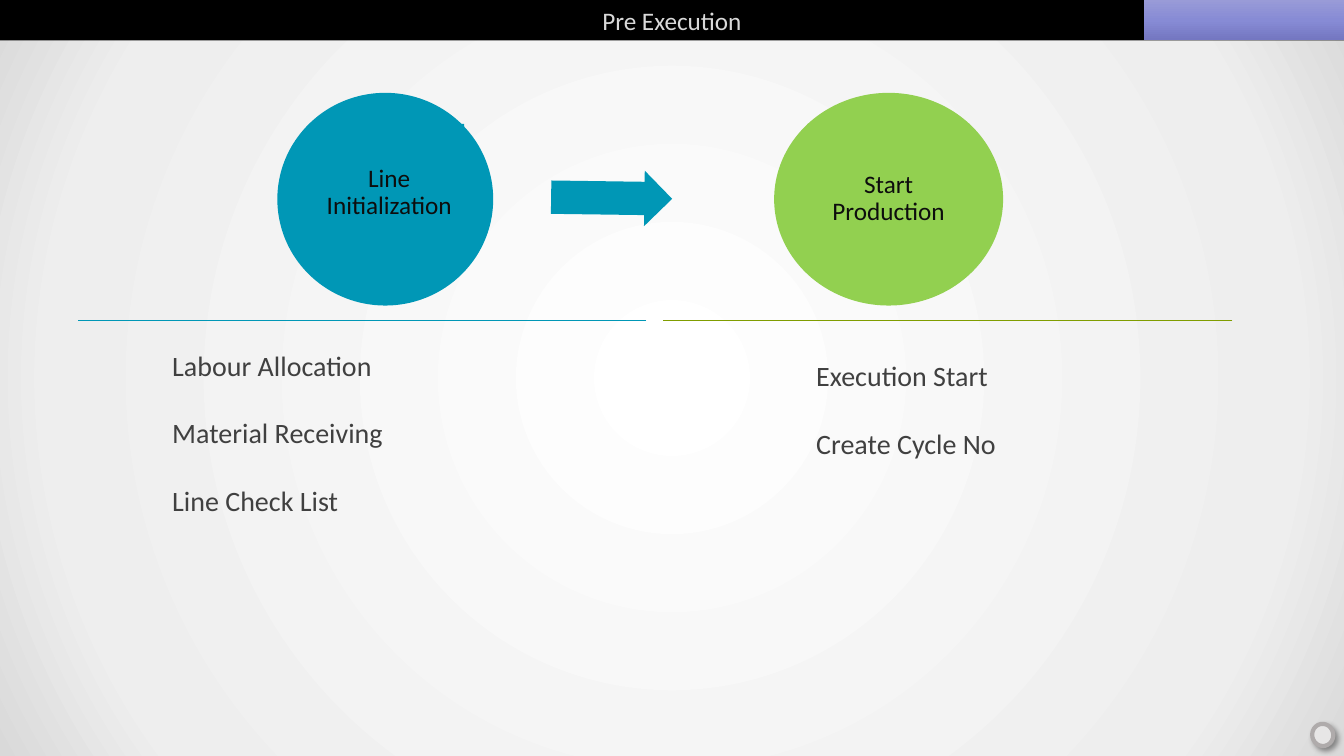
"""Build the Pre Execution slide with two stages and their steps."""
from pptx import Presentation
from pptx.dml.color import RGBColor
from pptx.enum.shapes import MSO_CONNECTOR, MSO_SHAPE
from pptx.enum.text import MSO_ANCHOR, PP_ALIGN
from pptx.oxml import parse_xml
from pptx.oxml.ns import nsdecls
from pptx.util import Cm, Pt

RECT, OVAL, ARROW = MSO_SHAPE.RECTANGLE, MSO_SHAPE.OVAL, MSO_SHAPE.RIGHT_ARROW
LINE = MSO_CONNECTOR.STRAIGHT
MIDDLE, CENTER = MSO_ANCHOR.MIDDLE, PP_ALIGN.CENTER
NS = nsdecls("a")
TEAL, GREEN, OLIVE = "0097B6", "92D050", "809D00"
hue = RGBColor.from_string

deck = Presentation()
deck.slide_width, deck.slide_height = Cm(33.87), Cm(19.05)
slide = deck.slides.add_slide(deck.slide_layouts[6])


def draw(kind, box, color):
    shape = slide.shapes.add_shape(kind, *map(Cm, box))
    shape.shadow.inherit = False
    shape.fill.solid()
    shape.fill.fore_color.rgb = hue(color)
    shape.line.fill.background()
    return shape


def write(frame, text, size, color, align=None):
    frame.word_wrap = True
    frame.text = text
    for par in frame.paragraphs:
        par.alignment = align
        font = par.runs[0].font
        font.name, font.size = "Calibri", Pt(size)
        font.color.rgb = hue(color)


bar = draw(RECT, (0, 0, 33.87, 1.02), "000000")
bar.text_frame.vertical_anchor = MIDDLE
write(bar.text_frame, "Pre Execution", 18, "D9D9D9", CENTER)
tab = draw(RECT, (28.83, 0, 5.04, 1.02), "878BD5")

back = slide.background.fill
back.solid()
back.fore_color.rgb = hue("FFFFFF")
center = '<a:path path="circle"><a:fillToRect l="50000" t="50000" r="50000" b="50000"/></a:path>'
down = '<a:lin ang="5400000" scaled="0"/>'
blends = [
    (slide.element.xpath("p:cSld/p:bg/p:bgPr/a:solidFill")[0], center,
     [(0, "FFFFFF"), (81, "EEEEEE"), (100, "D9D9D9")]),
    (tab.element.xpath("p:spPr/a:solidFill")[0], down,
     [(0, "999BD7"), (50, "878BD5"), (100, "7477C1")]),
]
for solid, course, stops in blends:
    marks = "".join(f'<a:gs pos="{pos * 1000}"><a:srgbClr val="{color}"/></a:gs>'
                    for pos, color in stops)
    grad = parse_xml(f'<a:gradFill {NS} rotWithShape="1"><a:gsLst>{marks}</a:gsLst>{course}</a:gradFill>')
    solid.getparent().replace(solid, grad)

button = draw(OVAL, (33.07, 18.24, 0.53, 0.56), "E7E6E6")
button.rotation = 348.9
button.line.color.rgb = hue("AFABAB")
button.line.width = Pt(3)
effect = button.element.xpath("p:spPr/a:effectLst")[0]
effect.append(parse_xml(
    f'<a:outerShdw {NS} blurRad="{Pt(4)}" dist="{Pt(3)}" dir="2700000" algn="tl" rotWithShape="0">'
    '<a:srgbClr val="000000"><a:alpha val="40000"/></a:srgbClr></a:outerShdw>'))

stages = [
    ("Line Initialization", TEAL, (6.99, 2.34, 5.44, 5.36), (7.92, 3.12, 3.78, 3.48)),
    ("Start Production", GREEN, (19.51, 2.34, 5.77, 5.36), (20.35, 3.12, 4.09, 3.78)),
]
for name, color, disc, box in stages:
    draw(OVAL, disc, color)
    frame = draw(RECT, box, color).text_frame
    frame.margin_left = frame.margin_right = Cm(0.08)
    frame.margin_top = frame.margin_bottom = Cm(0.08)
    frame.vertical_anchor = MIDDLE
    write(frame, name, 18, "0D0D0D", CENTER)
    frame.paragraphs[0].line_spacing = 0.9

arrow = draw(ARROW, (13.89, 4.29, 3.05, 1.4), TEAL)
arrow.adjustments[0] = 0.6
arrow.rotation = 0.8

for start, end, color in [(16.28, 1.96, TEAL), (31.06, 16.71, OLIVE)]:
    rule = slide.shapes.add_connector(LINE, Cm(start), Cm(8.08), Cm(end), Cm(8.08))
    rule.line.color.rgb = hue(color)
    rule.line.width = Pt(0.5)
    rule.element.spPr.append(parse_xml(f"<a:effectLst {NS}/>"))

lists = [
    ((4.09, 8.66, 6.05, 5.13), ["Labour Allocation", "Material Receiving", "Line Check List"]),
    ((20.32, 8.92, 5.08, 4.27), ["Execution Start", "Create Cycle No"]),
]
for box, steps in lists:
    frame = slide.shapes.add_textbox(*map(Cm, box)).text_frame
    write(frame, "\n".join(steps), 20, "404040")
    for par in frame.paragraphs[1:]:
        par.space_before = Pt(24)

deck.save("out.pptx")
